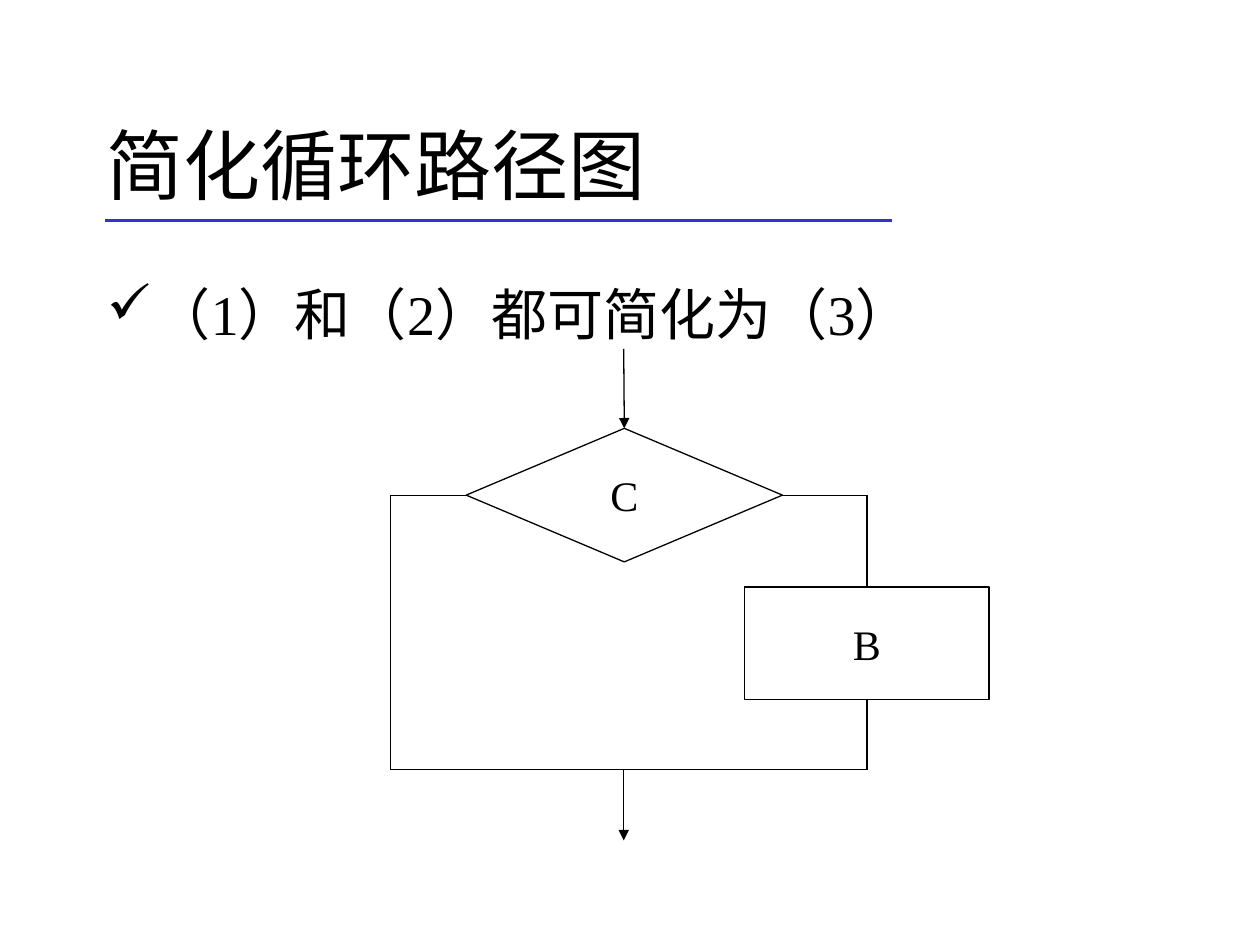
from lxml.etree import SubElement
from pptx import Presentation
from pptx.dml.color import RGBColor
from pptx.enum.shapes import MSO_CONNECTOR, MSO_SHAPE
from pptx.enum.text import MSO_ANCHOR, PP_ALIGN
from pptx.oxml.ns import qn
from pptx.util import Inches, Pt

BLACK = RGBColor(0x00, 0x00, 0x00)
BLUE = RGBColor(0x33, 0x33, 0xCC)
FONT = "Times New Roman"


class Sketch:
    """Draws flowchart parts on one slide in a shared style."""

    def __init__(self, slide):
        self.slide = slide
        self.style = {"name": FONT, "bold": False}

    def label(self, frame, text, size, **form):
        for key, val in form.items():
            setattr(frame, key, val)
        para = frame.paragraphs[0]
        run = para.add_run()
        run.text = text
        for key, val in {**self.style, "size": Pt(size)}.items():
            setattr(run.font, key, val)
        run.font.color.rgb = BLACK
        return para

    def text(self, box, text, size, anchor):
        shape = self.slide.shapes.add_textbox(*map(Inches, box))
        return self.label(shape.text_frame, text, size,
                          word_wrap=True, vertical_anchor=anchor)

    def bullet(self, para, mark, indent):
        props = para._p.get_or_add_pPr()
        props.set("marL", str(Inches(indent)))
        props.set("indent", str(-Inches(indent)))
        tint = SubElement(props, qn("a:buClr"))
        SubElement(tint, qn("a:srgbClr")).set("val", str(BLACK))
        SubElement(props, qn("a:buChar")).set("char", mark)

    def node(self, kind, box, text):
        shape = self.slide.shapes.add_shape(kind, *map(Inches, box))
        shape.shadow.inherit = False
        shape.fill.background()
        shape.line.color.rgb = BLACK
        shape.line.width = Pt(0.75)
        para = self.label(shape.text_frame, text, 24, word_wrap=False,
                          vertical_anchor=MSO_ANCHOR.MIDDLE)
        para.alignment = PP_ALIGN.CENTER
        return shape

    def line(self, start, end, color=BLACK, width=0.75, arrow=False,
             begin=None, finish=None):
        link = self.slide.shapes.add_connector(
            MSO_CONNECTOR.STRAIGHT, *map(Inches, (*start, *end)))
        link.line.color.rgb = color
        link.line.width = Pt(width)
        props = link._element.spPr
        if arrow:
            SubElement(props.find(qn("a:ln")),
                       qn("a:tailEnd")).set("type", "triangle")
        SubElement(props, qn("a:effectLst"))
        if begin:
            link.begin_connect(*begin)
        if finish:
            link.end_connect(*finish)


def main():
    deck = Presentation()
    deck.slide_width, deck.slide_height = Inches(10), Inches(7.5)
    art = Sketch(deck.slides.add_slide(deck.slide_layouts[6]))

    art.line((0.83, 1.75), (7.08, 1.75), BLUE, 2.25)
    art.text((0.75, 0.67, 8.5, 1.25), "简化循环路径图", 44, MSO_ANCHOR.MIDDLE)
    para = art.text((0.75, 2.17, 8.5, 0.72), "（1）和（2）都可简化为（3）",
                    32, MSO_ANCHOR.TOP)
    art.bullet(para, "✓", 0.38)

    test = art.node(MSO_SHAPE.DIAMOND, (3.7, 3.4, 2.51, 1.06), "C")
    body = art.node(MSO_SHAPE.RECTANGLE, (5.91, 4.66, 1.94, 0.89), "B")

    left, mid, right = 3.1, 4.95, 6.88
    row, base = 3.93, 6.11
    art.line((mid, 2.77), (mid, 3.4), arrow=True, finish=(test, 0))
    art.line((6.21, row), (right, row), begin=(test, 3))
    art.line((right, row), (right, 4.66), finish=(body, 0))
    art.line((3.7, row), (left, row), begin=(test, 1))
    art.line((left, row), (left, base))
    art.line((right, 5.55), (right, base), begin=(body, 2))
    art.line((right, base), (left, base))
    art.line((mid, base), (mid, 6.67), arrow=True)

    deck.save("out.pptx")


if __name__ == "__main__":
    main()
